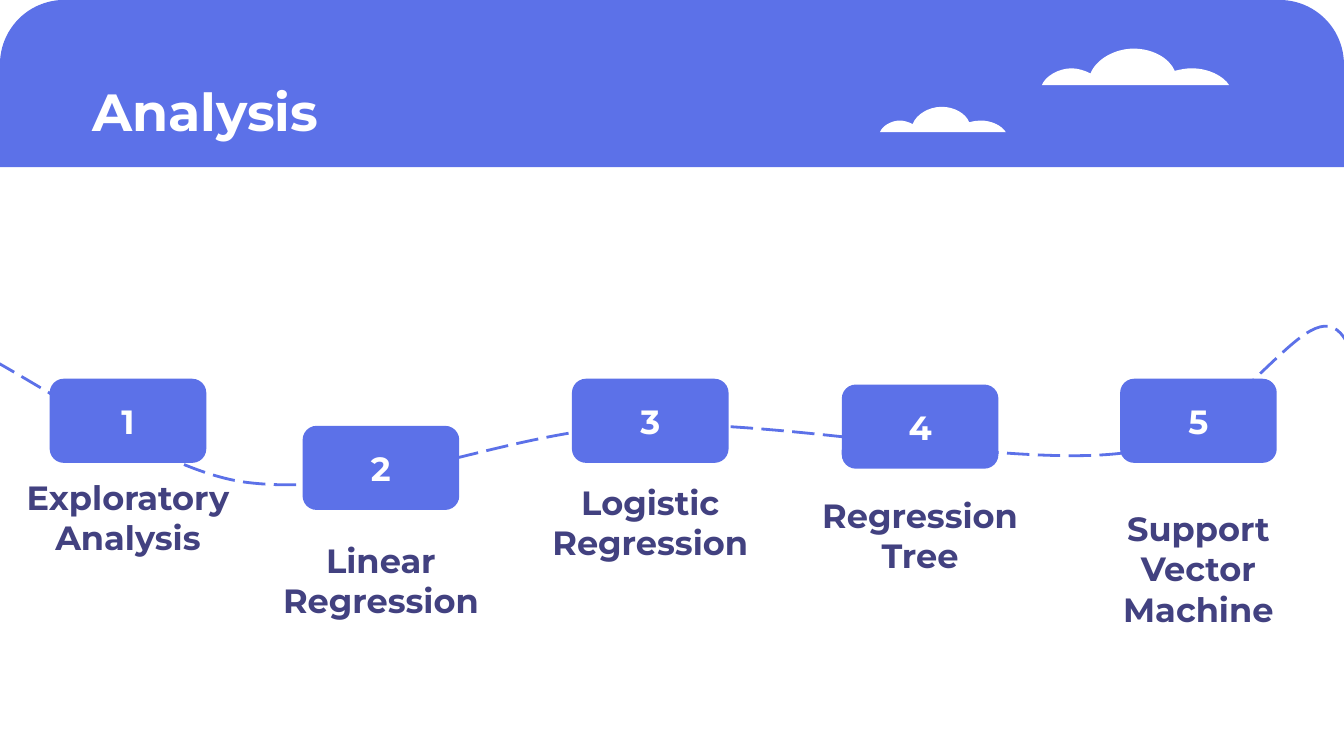
import math

from lxml import etree
from pptx import Presentation
from pptx import util as u
from pptx.dml.color import RGBColor
from pptx.enum import dml, shapes, text
from pptx.oxml import ns

# Theme and content (lengths in cm)
THEME = {"blue": "5C71E8", "ink": "424180", "white": "FFFFFF",
         "font": "Montserrat", "title": 28, "body": 18}
SLIDE_W, SLIDE_H = 25.4, 14.29
BOX_W, BOX_H, LABEL_W = 2.96, 1.59, 5.11

TITLE = "Analysis"
STEPS = [  # label, centre x, box top, label top, label height
    ("Exploratory Analysis", 2.42, 7.16, 8.76, 1.85),
    ("Linear Regression", 7.2, 8.05, 9.95, 1.85),
    ("Logistic Regression", 12.29, 7.16, 8.86, 1.96),
    ("Regression Tree", 17.39, 7.27, 9.1, 1.85),
    ("Support Vector Machine", 22.65, 7.16, 9.35, 2.64),
]

# Outlines: a start point, then one point per line or three per curve
CLOUDS = [(19.69, 0.92, 3.54, 0.69), (16.63, 2.02, 2.38, 0.48)]
CLOUD = [  # fractions of the cloud's frame
    [(0.49, 0)],
    [(0.59, 0), (0.68, 0.25), (0.71, 0.61)],
    [(0.74, 0.57), (0.77, 0.54), (0.8, 0.54)],
    [(0.89, 0.54), (0.97, 0.75), (1, 1)],
    [(0, 1)],
    [(0.02, 0.75), (0.09, 0.54), (0.16, 0.54)],
    [(0.19, 0.54), (0.23, 0.6), (0.26, 0.68)],
    [(0.29, 0.29), (0.39, 0), (0.49, 0)],
]
ROUTE_FRAME, ROUTE_TILT = (-4.37, 5.33, 31.85, 11.43), -2.7
ROUTE = [  # slide positions, tilt included
    [(-2.77, 6.25)],
    [(-1.73, 5.03), (2.16, 8.81), (4.67, 9.12)],
    [(7.16, 9.42), (9.47, 8.13), (12.24, 8.03)],
    [(15.01, 7.95), (19.08, 8.84), (21.26, 8.56)],
    [(23.47, 8.28), (24.71, 5.36), (25.4, 6.38)],
    [(26.09, 7.42), (29.85, 13.13), (25.35, 14.78)],
    [(20.85, 16.46), (3.12, 17.81), (-1.55, 16.38)],
    [(-6.25, 14.96), (-3.81, 7.44), (-2.77, 6.25)],
]


def color(name):
    return RGBColor.from_string(THEME[name])


def to_frame(point, frame, tilt):
    """Fraction of the frame at which a point of the tilted outline lies."""
    x, y, w, h = frame
    dx, dy = point[0] - x - w / 2, point[1] - y - h / 2
    c, d = math.cos(math.radians(-tilt)), math.sin(math.radians(-tilt))
    return 0.5 + (dx * c - dy * d) / w, 0.5 + (dx * d + dy * c) / h


def add_outline(s, frame, segments):
    """Freeform filling the frame, with curves given in fractions of it."""
    x, y, w, h = map(u.Cm, frame)
    builder = s.shapes.build_freeform(x, y)
    builder.add_line_segments([(x + w, y + h)], close=True)
    sp = builder.convert_to_shape()
    sp.shadow.inherit = False
    outline = sp._element.find(".//" + ns.qn("a:path"))
    for child in list(outline):
        outline.remove(child)
    for i, points in enumerate(segments):
        tag = "a:moveTo" if i == 0 else "a:lnTo" if len(points) == 1 else "a:cubicBezTo"
        step = etree.SubElement(outline, ns.qn(tag))
        for px, py in points:
            etree.SubElement(step, ns.qn("a:pt"), x=str(round(px * w)), y=str(round(py * h)))
    etree.SubElement(outline, ns.qn("a:close"))
    return sp


def paint(sp, name):
    sp.fill.solid()
    sp.fill.fore_color.rgb = color(name)
    sp.line.fill.background()


def add_block(s, kind, box, adjustment):
    sp = s.shapes.add_shape(kind, *map(u.Cm, box))
    sp.shadow.inherit = False
    sp.adjustments[0] = adjustment
    paint(sp, "blue")
    return sp


def write(sp, words, size, ink, align, anchor=text.MSO_ANCHOR.TOP):
    tf = sp.text_frame
    tf.word_wrap = True
    tf.vertical_anchor = anchor
    tf.margin_left = tf.margin_right = tf.margin_top = tf.margin_bottom = u.Cm(0.25)
    tf.text = words
    p = tf.paragraphs[0]
    p.alignment = align
    font = p.runs[0].font
    font.name, font.size, font.bold = THEME["font"], u.Pt(THEME[size]), True
    font.color.rgb = color(ink)
    return p


def main():
    prs = Presentation()
    prs.slide_width, prs.slide_height = u.Cm(SLIDE_W), u.Cm(SLIDE_H)
    s = prs.slides.add_slide(prs.slide_layouts[6])
    center = text.PP_ALIGN.CENTER

    # Banner with clouds
    banner = add_block(s, shapes.MSO_SHAPE.ROUND_2_SAME_RECTANGLE,
                       (0, 0, SLIDE_W, 3.16), 0.385)
    banner.adjustments[1] = 0
    for frame in CLOUDS:
        paint(add_outline(s, frame, CLOUD), "white")

    # Dashed route
    route = add_outline(s, ROUTE_FRAME, [
        [to_frame(point, ROUTE_FRAME, ROUTE_TILT) for point in points] for points in ROUTE])
    route.rotation = ROUTE_TILT
    route.fill.background()
    route.line.color.rgb = color("blue")
    route.line.width = u.Pt(1.5)
    route.line.dash_style = dml.MSO_LINE.LONG_DASH

    # Title
    title = s.shapes.add_textbox(*map(u.Cm, (1.5, 1.24, 12.75, 1.6)))
    write(title, TITLE, "title", "white", text.PP_ALIGN.LEFT)

    # Numbered steps with labels
    for number, (label, cx, box_top, label_top, label_h) in enumerate(STEPS, 1):
        caption = s.shapes.add_textbox(
            *map(u.Cm, (cx - LABEL_W / 2, label_top, LABEL_W, label_h)))
        p = write(caption, label, "body", "ink", center)
        p.space_after = u.Pt(16)
        box = add_block(s, shapes.MSO_SHAPE.ROUNDED_RECTANGLE,
                        (cx - BOX_W / 2, box_top, BOX_W, BOX_H), 0.167)
        write(box, str(number), "body", "white", center, text.MSO_ANCHOR.MIDDLE)

    prs.save("out.pptx")


if __name__ == "__main__":
    main()
